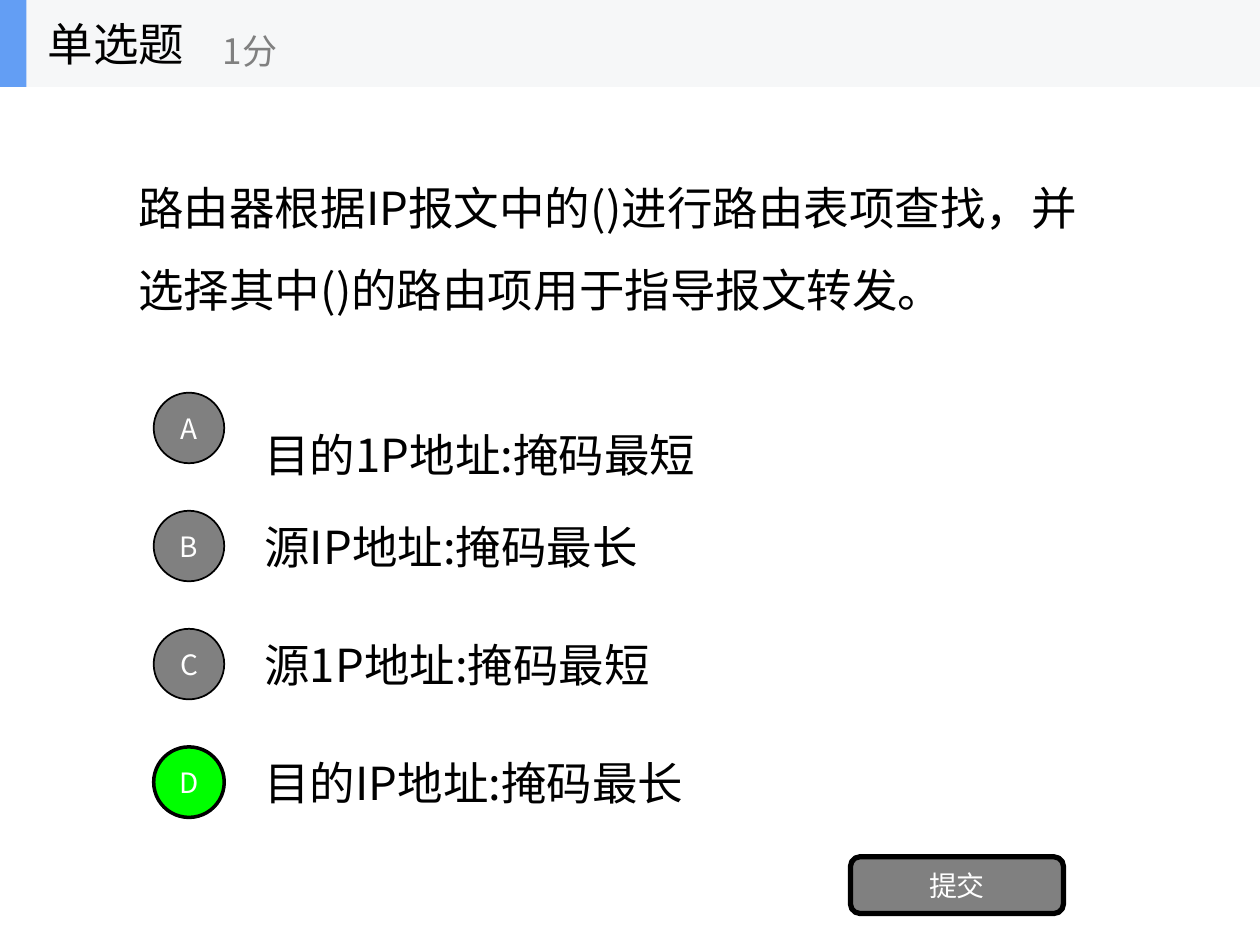
from pptx import Presentation
from pptx.dml.color import RGBColor
from pptx.enum.shapes import MSO_SHAPE
from pptx.enum.text import MSO_ANCHOR, MSO_AUTO_SIZE, PP_ALIGN
from pptx.oxml.ns import qn
from pptx.util import Inches, Pt
from lxml.etree import SubElement

BLACK = RGBColor(0x00, 0x00, 0x00)
WHITE = RGBColor(0xFF, 0xFF, 0xFF)
GRAY = RGBColor(0x80, 0x80, 0x80)
GREEN = RGBColor(0x00, 0xFF, 0x00)
BLUE = RGBColor(0x63, 0x9E, 0xF4)
PALE = RGBColor(0xF6, 0xF7, 0xF8)

FACE = "Noto Sans CJK SC"
COLS, ROWS = 100, 75


class Quiz:
    """Style and current slide; lengths are in grid columns and rows."""

    def __init__(self, deck):
        self.col = deck.slide_width / COLS
        self.row = deck.slide_height / ROWS
        self.slide = deck.slides.add_slide(deck.slide_layouts[5])
        self.shapes = self.slide.shapes

    def place(self, x, y, w, h):
        return (round(x * self.col), round(y * self.row),
                round(w * self.col), round(h * self.row))

    def label(self, shape, text, size=26, color=BLACK,
              align=PP_ALIGN.LEFT, space=1.0):
        frame = shape.text_frame
        frame.text = text
        para = frame.paragraphs[0]
        run = para.runs[0]
        looks = [
            (frame, {"word_wrap": True, "auto_size": MSO_AUTO_SIZE.NONE,
                     "vertical_anchor": MSO_ANCHOR.MIDDLE}),
            (para, {"alignment": align, "line_spacing": space}),
            (run.font, {"name": FACE, "size": Pt(size)}),
        ]
        for part, values in looks:
            for key, value in values.items():
                setattr(part, key, value)
        run.font.color.rgb = color
        # East Asian typeface
        SubElement(run._r.get_or_add_rPr(), qn("a:ea"), typeface=FACE)

    def title(self, box, text):
        head = self.shapes.title
        spots = zip(("left", "top", "width", "height"), self.place(*box))
        for key, value in spots:
            setattr(head, key, value)
        self.label(head, text)
        # Bring the title in front of the header band
        self.shapes.element.append(head.element)

    def text(self, box, text, **style):
        self.label(self.shapes.add_textbox(*self.place(*box)), text, **style)

    def block(self, box, fill, kind=MSO_SHAPE.RECTANGLE, line=0, text=""):
        shape = self.shapes.add_shape(kind, *self.place(*box))
        shape.shadow.inherit = False
        shape.fill.solid()
        shape.fill.fore_color.rgb = fill
        if line:
            shape.line.color.rgb = BLACK
            shape.line.width = Pt(line)
        else:
            shape.line.fill.background()
        if text:
            frame = shape.text_frame
            for side in ("left", "right", "top", "bottom"):
                setattr(frame, "margin_" + side, 0)
            self.label(shape, text, 16, WHITE, PP_ALIGN.CENTER)


def main():
    deck = Presentation()
    deck.slide_width, deck.slide_height = Inches(10), Inches(7.5)
    quiz = Quiz(deck)

    # Header
    quiz.block((0, 0, COLS, 6.9), PALE)
    quiz.block((0, 0, 2.1, 6.9), BLUE)
    quiz.title((2.8, 0, 20.8, 6.9), "单选题")
    quiz.text((16.7, 1.2, 25, 5.6), "1分", size=20, color=GRAY)

    # Question
    quiz.text((10, 6.9, 80, 23.4),
              "路由器根据IP报文中的()进行路由表项查找，"
              "并选择其中()的路由项用于指导报文转发。", space=1.5)

    # Options: letter, wording, drop of the wording, fill, line
    options = [
        ("A", "目的1P地址:掩码最短", 2.1, GRAY, 1),
        ("B", "源IP地址:掩码最长", 0, GRAY, 1),
        ("C", "源1P地址:掩码最短", 0, GRAY, 1),
        ("D", "目的IP地址:掩码最长", 0, GREEN, 2),
    ]
    top, step = 30.47, 9.37
    for i, (mark, words, drop, fill, line) in enumerate(options):
        y = top + i * step
        quiz.text((20, y + drop, 70, 7), words)
        quiz.block((12.2, y + 0.7, 5.6, 5.6), fill, MSO_SHAPE.OVAL, line, mark)

    # Submit button
    quiz.block((67.5, 68, 16.9, 4.5), GRAY,
               MSO_SHAPE.ROUNDED_RECTANGLE, 3, "提交")

    deck.save("out.pptx")


if __name__ == "__main__":
    main()
